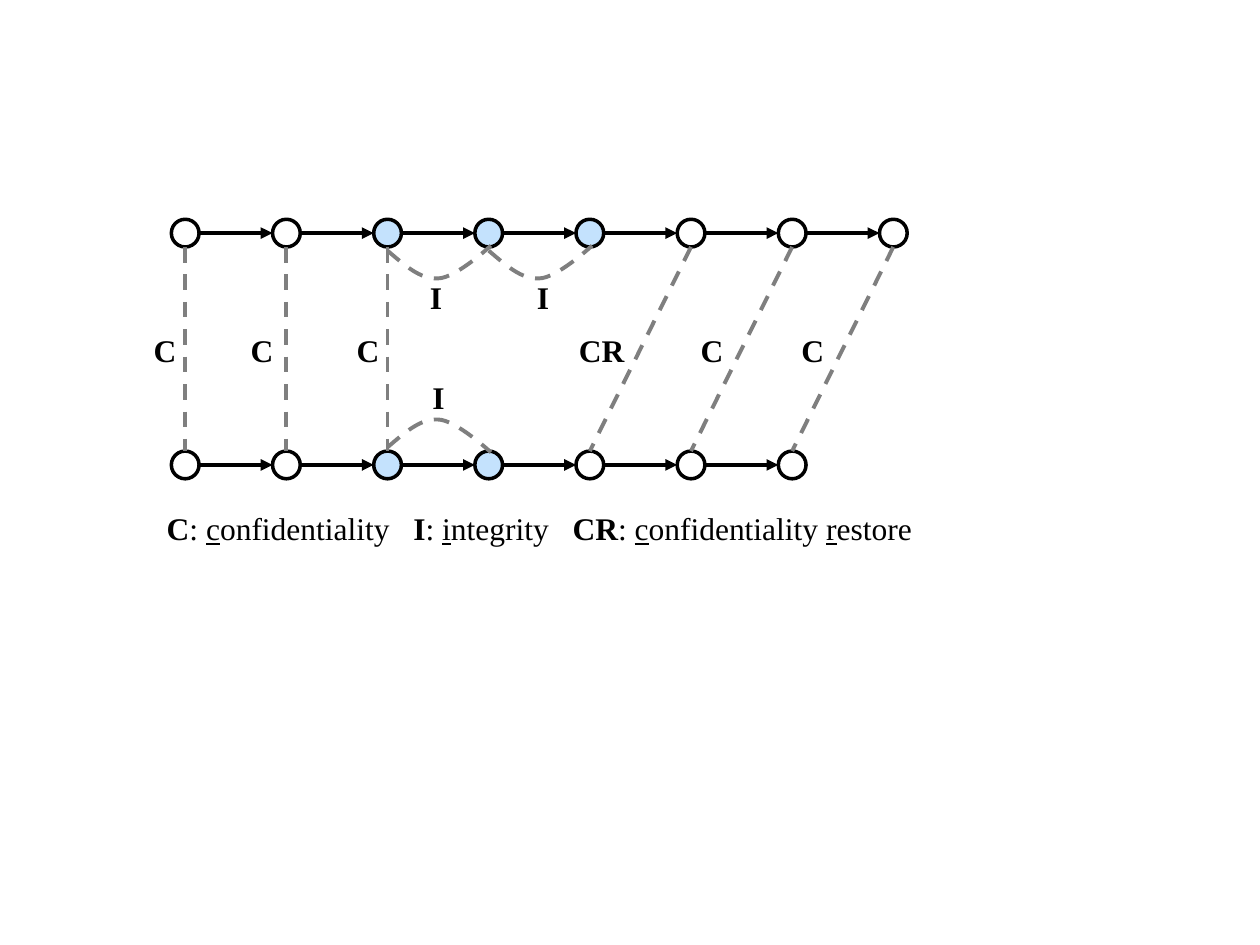
"""Build a slide linking two node chains by confidentiality and integrity relations."""
from pptx import Presentation
from pptx.dml.color import RGBColor
from pptx.enum.dml import MSO_LINE
from pptx.enum.shapes import MSO_CONNECTOR, MSO_SHAPE
from pptx.enum.text import MSO_AUTO_SIZE, PP_ALIGN
from pptx.oxml.ns import qn
from pptx.util import Inches, Pt
from lxml.etree import SubElement

COLORS = {
    "ink": "000000",
    "plain": "FFFFFF",
    "marked": "C4E2FD",
    "relation": "7F7F7F",
}
FONT = "Times New Roman"
DIAMETER = 0.22
RADIUS = DIAMETER / 2
FIRST_X = 1.47
PITCH = 5.62 / 7
TOP_Y, BOTTOM_Y = 1.85, 3.69

deck = Presentation()
deck.slide_width, deck.slide_height = Inches(10), Inches(7.5)
slide = deck.slides.add_slide(deck.slide_layouts[6])
shapes = slide.shapes


def add_line(x1, y1, x2, y2, color, end):
    line = shapes.add_connector(
        MSO_CONNECTOR.STRAIGHT, Inches(x1), Inches(y1), Inches(x2), Inches(y2)
    )
    line.line.color.rgb = RGBColor.from_string(COLORS[color])
    line.line.width = Pt(2.25)
    if end == "arrow":
        SubElement(line.line._get_or_add_ln(), qn("a:tailEnd"), type="triangle")
    else:
        line.line.dash_style = MSO_LINE.DASH
    SubElement(line._element.spPr, qn("a:effectLst"))


def add_text(left, top, width, pieces):
    box = shapes.add_textbox(Inches(left), Inches(top), Inches(width), Inches(0.4))
    frame = box.text_frame
    frame.word_wrap = True
    frame.auto_size = MSO_AUTO_SIZE.SHAPE_TO_FIT_TEXT
    para = frame.paragraphs[0]
    para.alignment = PP_ALIGN.CENTER
    for text, style in pieces:
        span = para.add_run()
        span.text = text
        span.font.name = FONT
        span.font.size = Pt(18)
        span.font.color.rgb = RGBColor.from_string(COLORS["ink"])
        span.font.bold = style == "bold"
        span.font.underline = style == "underline"


centers = [FIRST_X + PITCH * index for index in range(8)]

for y, count, marked in [(TOP_Y, 8, (2, 3, 4)), (BOTTOM_Y, 7, (2, 3))]:
    for index, x in enumerate(centers[:count]):
        node = shapes.add_shape(
            MSO_SHAPE.OVAL, Inches(x - RADIUS), Inches(y - RADIUS),
            Inches(DIAMETER), Inches(DIAMETER),
        )
        node.shadow.inherit = False
        node.fill.solid()
        fill = "marked" if index in marked else "plain"
        node.fill.fore_color.rgb = RGBColor.from_string(COLORS[fill])
        node.line.color.rgb = RGBColor.from_string(COLORS["ink"])
        node.line.width = Pt(2)
        if index:
            add_line(centers[index - 1] + RADIUS, y, x - RADIUS, y, "ink", "arrow")

for upper, lower in [(0, 0), (1, 1), (2, 2), (5, 4), (6, 5), (7, 6)]:
    add_line(centers[upper], TOP_Y + RADIUS, centers[lower], BOTTOM_Y - RADIUS,
             "relation", "dash")

arc = [(0, 0.14), (0.13, 0.25), (0.26, 0.37), (0.4, 0.36),
       (0.54, 0.36), (0.82, 0.1), (0.82, 0.1)]
for start, y, direction in [(2, TOP_Y, 1), (3, TOP_Y, 1), (2, BOTTOM_Y, -1)]:
    points = [(Inches(centers[start] + dx), Inches(y + direction * dy)) for dx, dy in arc]
    builder = shapes.build_freeform(*points[0])
    builder.add_line_segments(points[1:], close=False)
    curve = builder.convert_to_shape()
    segments = list(curve._element.iter(qn("a:lnTo")))
    for first in range(0, len(segments), 3):
        bezier = SubElement(segments[first].getparent(), qn("a:cubicBezTo"))
        for segment in segments[first:first + 3]:
            bezier.append(segment[0])
            segment.getparent().remove(segment)
    curve.shadow.inherit = False
    curve.fill.background()
    curve.line.color.rgb = RGBColor.from_string(COLORS["relation"])
    curve.line.width = Pt(2.25)
    curve.line.dash_style = MSO_LINE.DASH

labels = [
    ("C", 1.05, 2.58, 0.52), ("C", 1.82, 2.58, 0.52), ("C", 2.66, 2.58, 0.52),
    ("CR", 4.45, 2.58, 0.65), ("C", 5.39, 2.58, 0.52), ("C", 6.19, 2.58, 0.52),
    ("I", 3.2, 2.16, 0.52), ("I", 4.05, 2.16, 0.52), ("I", 3.22, 2.95, 0.52),
]
for text, left, top, width in labels:
    add_text(left, top, width, [(text, "bold")])

add_text(1.19, 3.99, 6.18, [
    ("C", "bold"), (": ", ""), ("c", "underline"), ("onfidentiality   ", ""),
    ("I", "bold"), (": ", ""), ("i", "underline"), ("ntegrity   ", ""),
    ("CR", "bold"), (": ", ""), ("c", "underline"), ("onfidentiality ", ""),
    ("r", "underline"), ("estore", ""),
])

deck.save("out.pptx")
